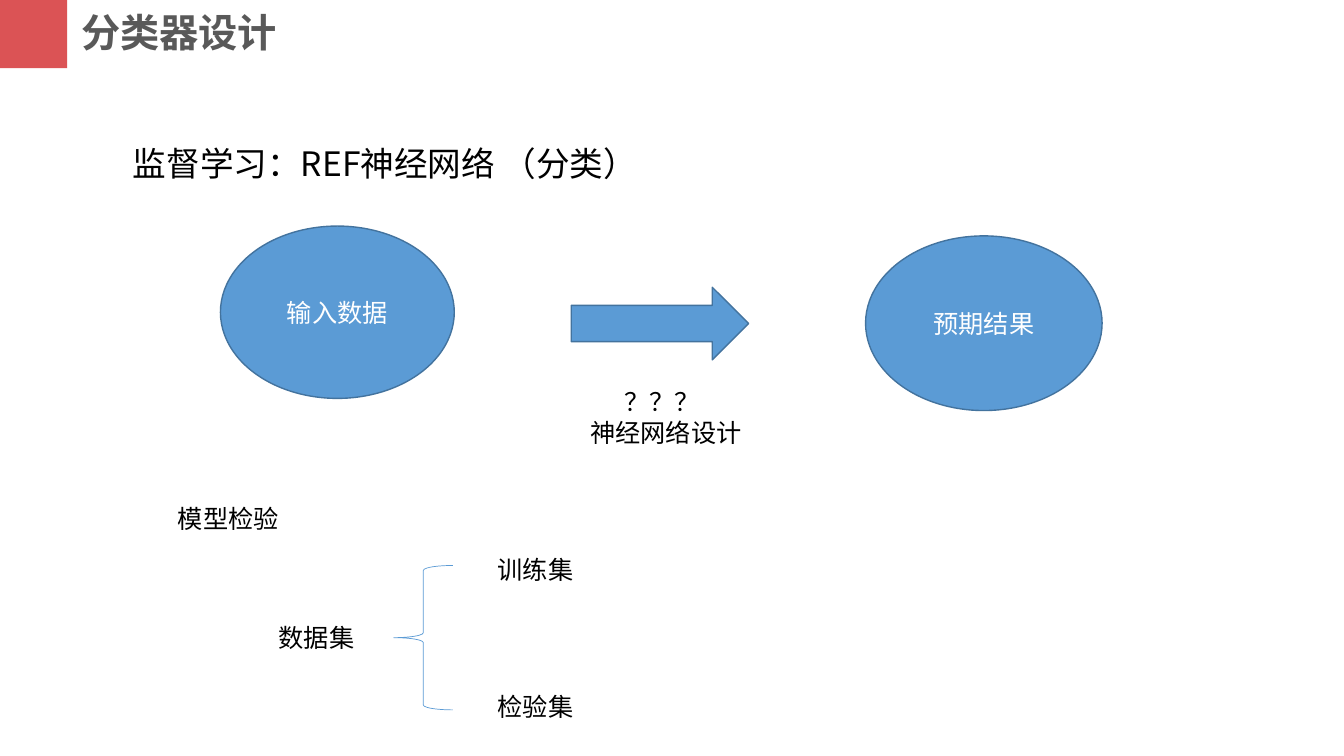
from dataclasses import dataclass
from typing import Any

from lxml import etree
from pptx import Presentation
from pptx import util as u
from pptx.dml.color import RGBColor
from pptx.enum import shapes, text
from pptx.oxml.ns import qn

WIDTH, HEIGHT = u.Inches(13.33), u.Inches(7.5)


def color(value):
    return RGBColor.from_string(value)


@dataclass
class Deck:
    slide: Any
    latin: str = "Calibri"
    chinese: str = "Noto Sans CJK SC"
    blue: str = "5B9BD5"
    outline: str = "43739E"
    body_size: int = 18

    def box(self, left, top, width, height):
        return (
            round(WIDTH * left / 100),
            round(HEIGHT * top / 100),
            round(WIDTH * width / 100),
            round(HEIGHT * height / 100),
        )

    def set_words(self, shape, words, size, ink, font, bold=False):
        shape.text_frame.text = words
        shape.text_frame.word_wrap = True
        for paragraph in shape.text_frame.paragraphs:
            for run in paragraph.runs:
                run.font.size = u.Pt(size)
                run.font.bold = bold
                run.font.name = font
                run.font.color.rgb = color(ink)
                east_asian = etree.SubElement(run._r.get_or_add_rPr(), qn("a:ea"))
                east_asian.set("typeface", self.chinese)

    def label(self, words, place, size=None, ink="000000", font=None, bold=False, indents=()):
        shape = self.slide.shapes.add_textbox(*self.box(*place))
        self.set_words(shape, words, size or self.body_size, ink, font or self.latin, bold)
        for paragraph, indent in zip(shape.text_frame.paragraphs, indents):
            properties = paragraph._p.get_or_add_pPr()
            properties.set("marL", str(u.Inches(indent)))
            properties.set("indent", "0")

    def figure(self, kind, place, fill=None, line=None, weight=1):
        shape = self.slide.shapes.add_shape(kind, *self.box(*place))
        shape.shadow.inherit = False
        if fill:
            shape.fill.solid()
            shape.fill.fore_color.rgb = color(fill)
        else:
            shape.fill.background()
        if line:
            shape.line.color.rgb = color(line)
            shape.line.width = u.Pt(weight)
        else:
            shape.line.fill.background()
        return shape

    def ellipse(self, words, place):
        shape = self.figure(shapes.MSO_SHAPE.OVAL, place, self.blue, self.outline)
        self.set_words(shape, words, self.body_size, "FFFFFF", self.latin)
        shape.text_frame.vertical_anchor = text.MSO_ANCHOR.MIDDLE
        shape.text_frame.paragraphs[0].alignment = text.PP_ALIGN.CENTER


def main():
    presentation = Presentation()
    presentation.slide_width, presentation.slide_height = WIDTH, HEIGHT
    deck = Deck(presentation.slides.add_slide(presentation.slide_layouts[6]))

    deck.figure(shapes.MSO_SHAPE.RECTANGLE, (0, 0, 5, 9), "DB5355")
    deck.label("分类器设计", (5.3, 0.4, 36.8, 7.6), 28, "595959", deck.chinese, True)
    deck.label("监督学习：REF神经网络 （分类）", (9.15, 18.3, 54.5, 6.7), 24, font=deck.chinese)

    deck.ellipse("输入数据", (16.4, 29.9, 17.4, 22.8))
    deck.figure(shapes.MSO_SHAPE.RIGHT_ARROW, (42.5, 38, 13.2, 9.6), deck.blue, deck.outline)
    deck.ellipse("预期结果", (64.4, 31.2, 17.6, 23.1))
    deck.label("？？？\n神经网络设计", (41.9, 50.5, 15.7, 9.5), indents=(0.51, 0.17))

    deck.label("模型检验", (12.5, 65.9, 19.5, 5.3))
    deck.label("数据集", (20, 81.6, 13.7, 5.3))
    deck.figure(shapes.MSO_SHAPE.LEFT_BRACE, (29.3, 74.8, 4.4, 19.1), line=deck.blue, weight=0.5)
    for words, top in (("训练集", 72.7), ("检验集", 90.8)):
        deck.label(words, (36.3, top, 12.8, 5.3))

    presentation.save("out.pptx")


if __name__ == "__main__":
    main()
